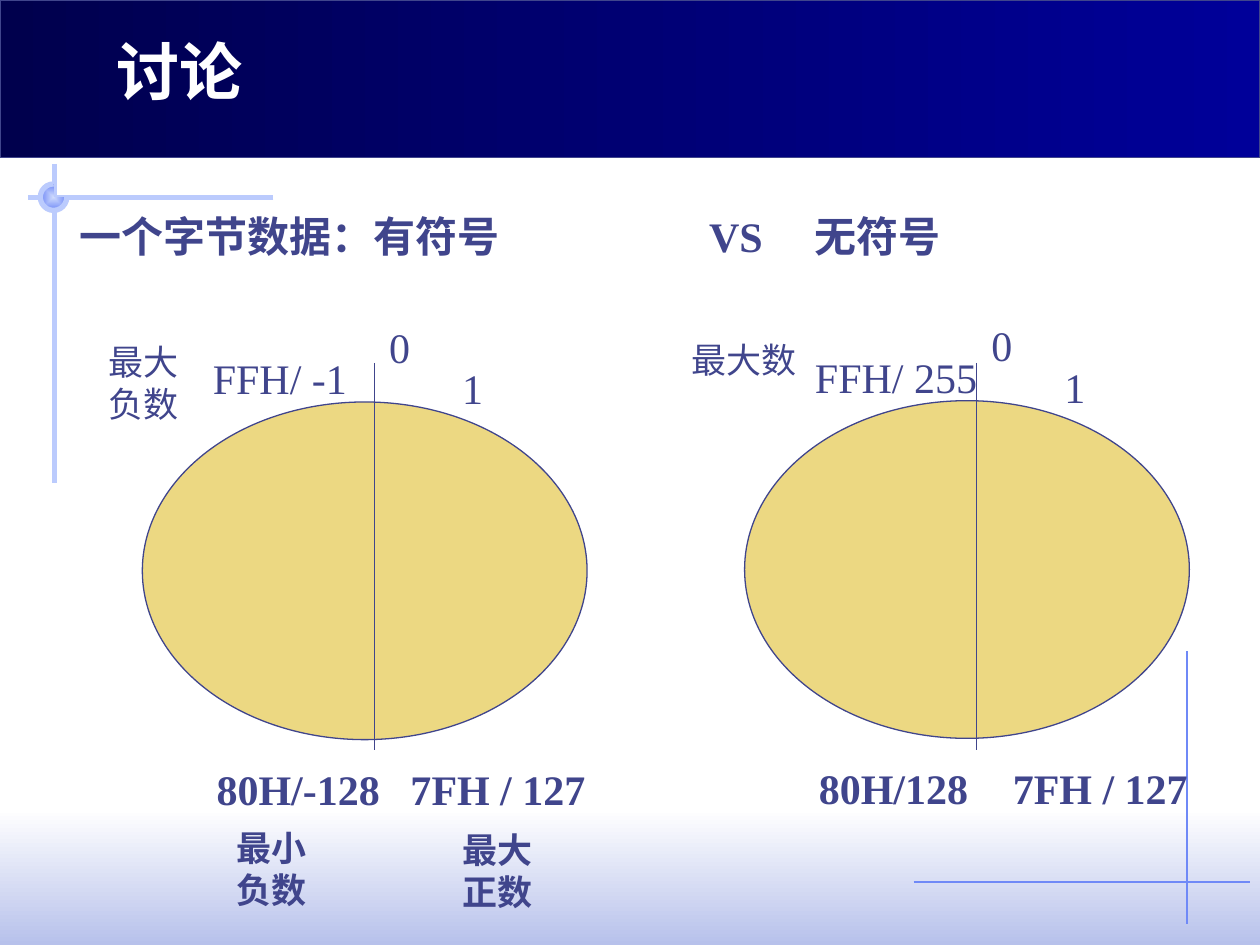
from dataclasses import dataclass

from lxml.etree import SubElement
from pptx import Presentation
from pptx.dml.color import RGBColor
from pptx.enum.shapes import MSO_CONNECTOR, MSO_SHAPE
from pptx.enum.text import MSO_AUTO_SIZE
from pptx.oxml.ns import qn
from pptx.util import Inches, Pt


@dataclass(frozen=True)
class Theme:
    font: str = "Times New Roman"
    ink: str = "40458C"
    white: str = "FFFFFF"
    sand: str = "ECD882"
    header_dark: str = "00004D"
    header_light: str = "000099"
    footer: str = "B7C1EB"
    pale: str = "CFDBFD"
    rail: str = "BBCBFD"
    accent: str = "6F89F7"
    title: int = 36
    body: int = 24
    note: int = 20
    thin: float = 0.75
    thick: float = 3


class SlideBuilder:
    def __init__(self, page, theme):
        self.page = page
        self.theme = theme

    def shape(self, kind, left, top, width, height, fill=None, line=None, weight=None):
        shape = self.page.shapes.add_shape(
            kind, Inches(left), Inches(top), Inches(width), Inches(height))
        shape.shadow.inherit = False
        if fill:
            shape.fill.solid()
            shape.fill.fore_color.rgb = RGBColor.from_string(fill)
        else:
            shape.fill.background()
        if line:
            shape.line.color.rgb = RGBColor.from_string(line)
            shape.line.width = Pt(weight or self.theme.thin)
        else:
            shape.line.fill.background()
        return shape

    def gradient(self, shape, start, end, angle=None):
        """Blend two colours along an angle, or outward from the centre without one."""
        shape.fill.gradient()
        for stop, color, position in zip(shape.fill.gradient_stops, (start, end), (0, 1)):
            stop.color.rgb = RGBColor.from_string(color)
            stop.position = position
        if angle is not None:
            shape.fill.gradient_angle = angle
            return
        gradient = shape._element.spPr.find(qn("a:gradFill"))
        gradient.remove(gradient.find(qn("a:lin")))
        radial = SubElement(gradient, qn("a:path"), {"path": "shape"})
        SubElement(radial, qn("a:fillToRect"), dict.fromkeys("ltrb", "50000"))

    def line(self, x1, y1, x2, y2, color, weight):
        line = self.page.shapes.add_connector(
            MSO_CONNECTOR.STRAIGHT, Inches(x1), Inches(y1), Inches(x2), Inches(y2))
        line.line.color.rgb = RGBColor.from_string(color)
        line.line.width = Pt(weight)
        SubElement(line._element.spPr, qn("a:effectLst"))

    def text(self, words, left, top, width, height, size, bold=False,
             color=None, wrap=True, spacing=None, tabs=()):
        box = self.page.shapes.add_textbox(
            Inches(left), Inches(top), Inches(width), Inches(height))
        box.text_frame.word_wrap = wrap
        box.text_frame.auto_size = MSO_AUTO_SIZE.SHAPE_TO_FIT_TEXT
        para = box.text_frame.paragraphs[0]
        para.text = words
        if spacing:
            para.line_spacing = spacing
        if tabs:
            stops = SubElement(para._p.get_or_add_pPr(), qn("a:tabLst"))
            for position in tabs:
                SubElement(stops, qn("a:tab"), pos=str(Inches(position)), algn="l")
        para.font.name = self.theme.font
        para.font.size = Pt(size)
        para.font.bold = bold
        para.font.color.rgb = RGBColor.from_string(color or self.theme.ink)


def draw_backdrop(builder):
    theme = builder.theme
    footer = builder.shape(MSO_SHAPE.RECTANGLE, 0, 6.42, 10, 1.08)
    builder.gradient(footer, theme.white, theme.footer, 270)

    builder.line(9.42, 5.17, 9.42, 7.33, theme.accent, theme.thin)
    builder.line(2.17, 1.57, 0.22, 1.57, theme.rail, theme.thick)
    builder.line(0.43, 1.3, 0.43, 3.83, theme.rail, theme.thick)

    knob = (0.32, 1.46, 0.21, 0.21)
    ball = builder.shape(MSO_SHAPE.PIE, *knob)
    ball.adjustments[0], ball.adjustments[1] = 0, 162
    builder.gradient(ball, theme.pale, theme.accent)
    ring = builder.shape(MSO_SHAPE.ARC, *knob, line=theme.rail, weight=theme.thick)
    ring.adjustments[0], ring.adjustments[1] = 0, 162

    header = builder.shape(MSO_SHAPE.RECTANGLE, 0, 0, 10, 1.25, line=theme.ink)
    builder.gradient(header, theme.header_dark, theme.header_light, 0)
    builder.line(7.25, 7, 9.92, 7, theme.accent, theme.thin)


def draw_number_wheel(builder, dx, dy, last, last_width, middle, middle_width):
    theme = builder.theme
    builder.shape(MSO_SHAPE.OVAL, 1.13 + dx, 3.19 + dy, 3.53, 2.68, theme.sand, theme.ink)
    builder.line(2.97 + dx, 2.88, 2.97 + dx, 5.95, theme.ink, theme.thin)
    labels = [
        ("0", 2.99, 2.5, 0.37, False),
        ("1", 3.57, 2.83, 0.37, False),
        ("7FH / 127", 3.16, 6.01, 1.6, True),
        (middle, 1.62, 6.01, middle_width, True),
        (last, 1.59, 2.75, last_width, False),
    ]
    for words, left, top, width, bold in labels:
        builder.text(words, left + dx, top + dy, width, 0.5, theme.body, bold, wrap=False)


def main():
    deck = Presentation()
    deck.slide_width, deck.slide_height = Inches(10), Inches(7.5)
    theme = Theme()
    builder = SlideBuilder(deck.slides.add_slide(deck.slide_layouts[6]), theme)

    draw_backdrop(builder)
    builder.text("讨论", 0.83, 0.21, 7.24, 0.71, theme.title, True, theme.white)
    builder.text("一个字节数据：有符号\tVS\t无符号", 0.53, 1.52, 8.33, 0.55,
                 theme.body, True, spacing=1.25, tabs=(5, 5.84))

    draw_number_wheel(builder, 0, 0, "FFH/ -1", 1.28, "80H/-128", 1.51)
    draw_number_wheel(builder, 4.78, -0.01, "FFH/ 255", 1.5, "80H/128", 1.4)

    notes = [
        ("最大正数", 3.57, 6.53, 0.93, 0.77, True),
        ("最小负数", 1.78, 6.51, 0.91, 0.77, True),
        ("最大负数", 0.76, 2.65, 0.98, 0.77, False),
        ("最大数", 5.39, 2.64, 1.13, 0.44, False),
    ]
    for words, left, top, width, height, bold in notes:
        builder.text(words, left, top, width, height, theme.note, bold)

    deck.save("out.pptx")


if __name__ == "__main__":
    main()
